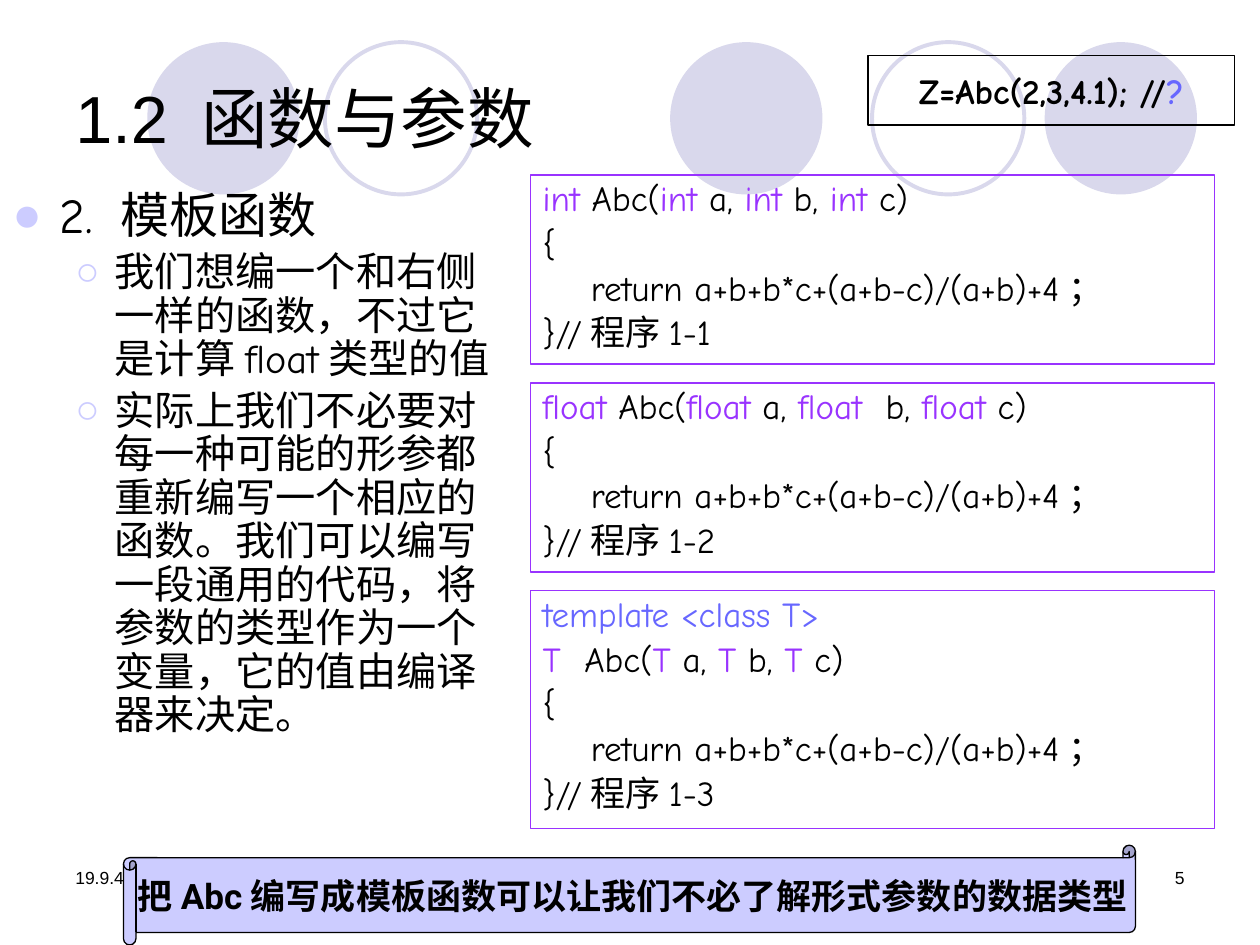
from lxml import etree
from pptx import Presentation
from pptx.dml.color import RGBColor
from pptx.enum.shapes import MSO_SHAPE
from pptx.enum.text import MSO_ANCHOR, PP_ALIGN
from pptx.oxml.ns import qn
from pptx.util import Cm, Pt

COLORS = {
    "black": "000000",
    "circle": "D9D8EC",
    "lilac": "CCCCFF",
    "purple": "9933FF",
    "blue": "6767FF",
}


class Deck:
    heading_font = "Arial"
    code_font = "Comic Neue"
    banner_font = "Roboto"

    def __init__(self):
        self.prs = Presentation()
        self.prs.slide_width, self.prs.slide_height = Cm(25.4), Cm(19.05)
        self.slide = self.prs.slides.add_slide(self.prs.slide_layouts[6])

    def color(self, name):
        return RGBColor.from_string(COLORS[name])

    def shape(self, kind, box, fill=None, line=None, width=0.75):
        shape = self.slide.shapes.add_shape(kind, *map(Cm, box))
        shape.shadow.inherit = False
        if fill:
            shape.fill.solid()
            shape.fill.fore_color.rgb = self.color(fill)
        else:
            shape.fill.background()
        if line:
            shape.line.color.rgb = self.color(line)
            shape.line.width = Pt(width)
        else:
            shape.line.fill.background()
        return shape

    def textbox(self, box):
        return self.slide.shapes.add_textbox(*map(Cm, box))

    def frame(self, shape, anchor=MSO_ANCHOR.TOP, wrap=True):
        frame = shape.text_frame
        frame.word_wrap = wrap
        frame.vertical_anchor = anchor
        return frame

    def runs(self, paragraph, parts, size, font, bold=False, align=PP_ALIGN.LEFT):
        paragraph.alignment = align
        for text, color in parts:
            run = paragraph.add_run()
            run.text = text
            run.font.size = Pt(size)
            run.font.name = font
            run.font.bold = bold
            run.font.color.rgb = self.color(color)

    def label(self, shape, parts, size, font, **style):
        frame = self.frame(shape, style.pop("anchor", MSO_ANCHOR.TOP), style.pop("wrap", True))
        self.runs(frame.paragraphs[0], parts, size, font, **style)

    def listing(self, shape, lines):
        frame = self.frame(shape)
        for i, (parts, size, margin, indent, level, bullet) in enumerate(lines):
            paragraph = frame.paragraphs[0] if i == 0 else frame.add_paragraph()
            self.runs(paragraph, parts, size, self.code_font)
            paragraph.level = level
            paragraph.line_spacing = 0.9
            paragraph.space_before = Pt(size * 0.2)
            props = paragraph._p.get_or_add_pPr()
            props.set("marL", str(Cm(margin)))
            props.set("indent", str(Cm(-indent)))
            if bullet:
                tint = etree.SubElement(props, qn("a:buClr"))
                etree.SubElement(tint, qn("a:srgbClr")).set("val", COLORS["lilac"])
                etree.SubElement(props, qn("a:buFont")).set("typeface", self.heading_font)
                etree.SubElement(props, qn("a:buChar")).set("char", bullet)

    def code(self, top, height, lines):
        box = self.shape(MSO_SHAPE.RECTANGLE, (10.69, top, 13.79, height), line="purple")
        self.listing(box, [(parts, 20, 0.97, 0.97, 0, None) for parts in lines])


def signature(kind, before_name=" ", before_b=" "):
    gaps = (before_name + "Abc(", " a, ", before_b + "b, ", " c)")
    return [part for gap in gaps for part in ((kind, "purple"), (gap, "black"))]


deck = Deck()

for left in (13.51, 21.06, 2.97):
    deck.shape(MSO_SHAPE.OVAL, (left, 0.85, 3.07, 3.07), fill="circle")
for left in (17.58, 6.55):
    deck.shape(MSO_SHAPE.OVAL, (left, 0.85, 3.07, 3.07), line="circle", width=2.25)

for left, text, align in ((1.27, "19.9.4", PP_ALIGN.LEFT), (18.21, "5", PP_ALIGN.RIGHT)):
    deck.label(deck.textbox((left, 17.35, 5.92, 1.27)), [(text, "black")], 10,
               deck.heading_font, align=align)

deck.label(deck.textbox((1.27, 0.76, 22.86, 3.18)), [("1.2\t函数与参数", "black")], 38,
           deck.heading_font, anchor=MSO_ANCHOR.MIDDLE)

points = (
    "我们想编一个和右侧一样的函数，不过它是计算float类型的值",
    "实际上我们不必要对每一种可能的形参都重新编写一个相应的函数。"
    "我们可以编写一段通用的代码，将参数的类型作为一个变量，它的值由编译器来决定。",
)
deck.listing(
    deck.textbox((0, 3.73, 10.31, 13)),
    [([("2. 模板函数", "black")], 28, 0.95, 0.95, 0, "●")]
    + [([(point, "black")], 23, 2.06, 0.79, 1, "○") for point in points],
)

programs = (
    (3.81, [signature("int")]),
    (3.81, [signature("float", before_b="  ")]),
    (4.8, [[("template <class T>", "blue")], signature("T", before_name="  ")]),
)
for i, (height, head) in enumerate(programs):
    body = ("{", "\treturn a+b+b*c+(a+b-c)/(a+b)+4；", f"}}//程序1-{i + 1}")
    deck.code(3.53 + 4.19 * i, height, head + [[(text, "black")] for text in body])

centered = dict(bold=True, align=PP_ALIGN.CENTER, anchor=MSO_ANCHOR.MIDDLE, wrap=False)
scroll = deck.shape(MSO_SHAPE.HORIZONTAL_SCROLL, (2.49, 17.04, 20.4, 2.01), "lilac", "black")
scroll.adjustments[0] = 0.125
deck.label(scroll, [("把Abc编写成模板函数可以让我们不必了解形式参数的数据类型", "black")],
           20, deck.banner_font, **centered)

call = deck.shape(MSO_SHAPE.RECTANGLE, (17.5, 1.12, 7.39, 1.4), line="black")
deck.label(call, [("Z=Abc(2,3,4.1); //", "black"), ("?", "blue")], 20, deck.code_font, **centered)

deck.prs.save("out.pptx")
